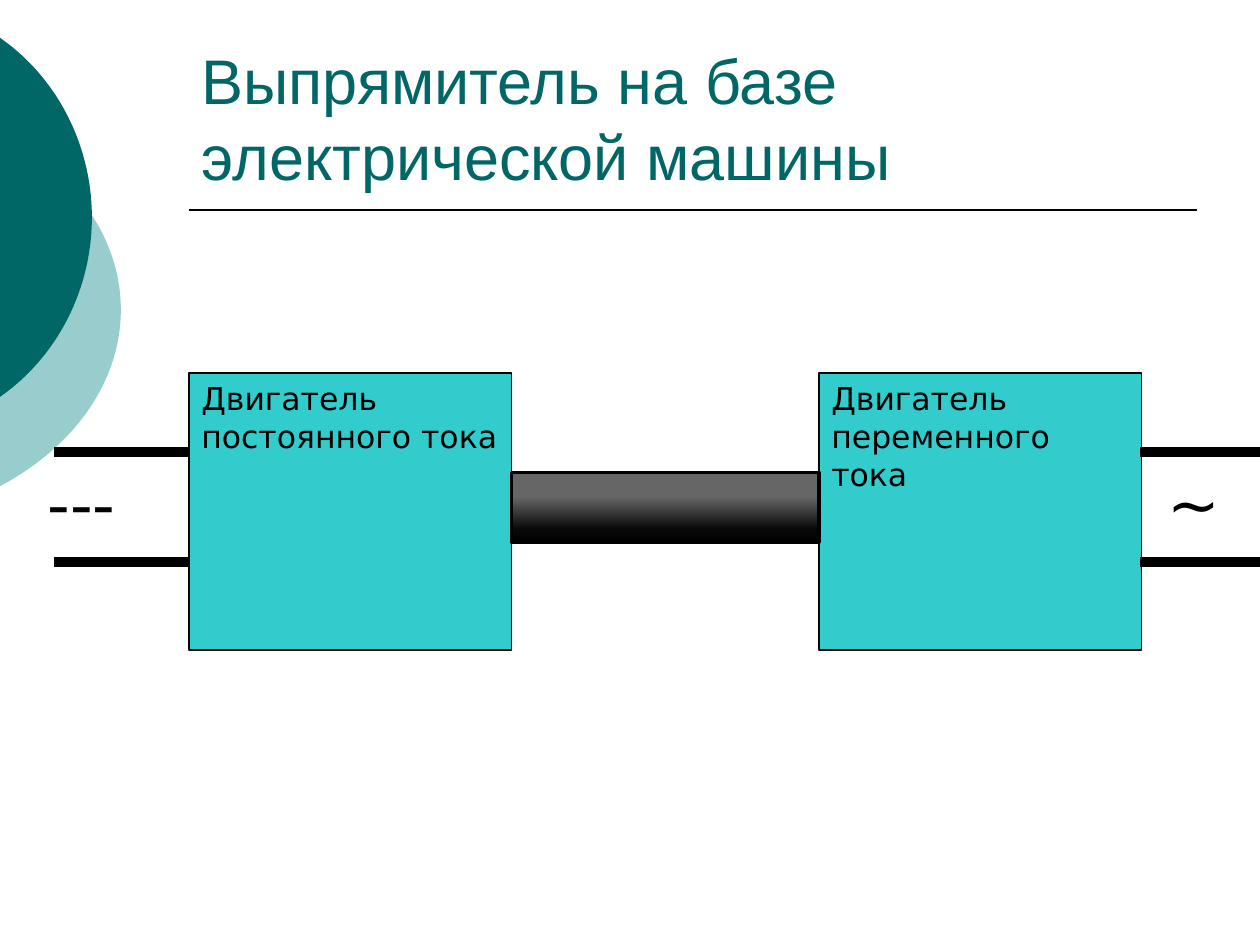
"""Build a slide showing a rectifier made of two coupled electric motors."""
from copy import deepcopy

from lxml import etree
from pptx import Presentation
from pptx.dml.color import RGBColor
from pptx.enum.shapes import MSO_CONNECTOR, MSO_SHAPE
from pptx.enum.text import MSO_ANCHOR, PP_ALIGN
from pptx.oxml.ns import qn
from pptx.util import Pt

RECTANGLE = MSO_SHAPE.RECTANGLE
STRAIGHT = MSO_CONNECTOR.STRAIGHT
LEFT = PP_ALIGN.LEFT
TOP, BOTTOM = MSO_ANCHOR.TOP, MSO_ANCHOR.BOTTOM

COLORS = {"dark": "006666", "light": "99CCCC", "motor": "33CCCC", "black": "000000"}
SHAFT_STOPS = [(0, "000000"), (0.18, "080808"), (0.65, "666666")]
BODY_FONT = "DejaVu Sans"

TITLE = "Выпрямитель на базе электрической машины"
MOTORS = [("Двигатель постоянного тока", 108), ("Двигатель переменного тока", 468)]
MOTOR_TOP, MOTOR_WIDTH, MOTOR_HEIGHT = 213.12, 184.32, 158.4
SHAFT_TOP, SHAFT_HEIGHT = 270, 39.6
WIRE_SPANS = [(31, 108), (651.6, 720)]
WIRE_LEVELS = [258.48, 321.12]
SIGNS = [("---", 20.16, 79.2), ("~", 660.24, 59.76)]
# Each arc: colour, then Bezier points of its upper half, ending at its middle
ARCS = [
    ("light", [(0, 76.32), (43.2, 99.36), (69.12, 136.8), (69.12, 177.12)]),
    ("dark", [(0, 21.6), (33.12, 44.64), (52.56, 83.52), (52.56, 124.2)]),
]
ARC_STEPS = 30


def rgb(name):
    return RGBColor.from_string(COLORS[name])


def bezier(points, t):
    weights = [(1 - t) ** 3, 3 * t * (1 - t) ** 2, 3 * t * t * (1 - t), t ** 3]
    return tuple(sum(w * p[axis] for w, p in zip(weights, points)) for axis in (0, 1))


def add_arc(slide, color, points):
    upper = [bezier(points, step / ARC_STEPS) for step in range(ARC_STEPS + 1)]
    middle = points[-1][1]
    lower = [(x, 2 * middle - y) for x, y in reversed(upper[:-1])]
    outline = [(Pt(x), Pt(y)) for x, y in upper + lower]
    builder = slide.shapes.build_freeform(*outline[0])
    builder.add_line_segments(outline[1:])
    shape = builder.convert_to_shape()
    shape.shadow.inherit = False
    shape.fill.solid()
    shape.fill.fore_color.rgb = rgb(color)
    shape.line.fill.background()


def add_line(slide, start, end, y, width):
    line = slide.shapes.add_connector(STRAIGHT, Pt(start), Pt(y), Pt(end), Pt(y))
    line.line.color.rgb = rgb("black")
    line.line.width = Pt(width)
    etree.SubElement(line._element.spPr, qn("a:effectLst"))


def add_box(slide, left, top, width, height, line_width):
    shape = slide.shapes.add_shape(RECTANGLE, Pt(left), Pt(top), Pt(width), Pt(height))
    shape.shadow.inherit = False
    shape.line.color.rgb = rgb("black")
    shape.line.width = Pt(line_width)
    return shape


def set_text(shape, text, size, font, color, anchor):
    frame = shape.text_frame
    frame.text = text
    frame.word_wrap = True
    frame.vertical_anchor = anchor
    paragraph = frame.paragraphs[0]
    paragraph.alignment = LEFT
    run_font = paragraph.runs[0].font
    run_font.size, run_font.name = Pt(size), font
    run_font.color.rgb = rgb(color)


def fill_shaft(shape):
    shape.fill.gradient()
    shape.fill.gradient_angle = 90
    stop_list = shape._element.spPr.find(qn("a:gradFill")).find(qn("a:gsLst"))
    stop_list.append(deepcopy(stop_list[0]))
    for stop, (position, color) in zip(shape.fill.gradient_stops, SHAFT_STOPS):
        stop.position = position
        stop.color.rgb = RGBColor.from_string(color)


def main():
    presentation = Presentation()
    presentation.slide_width, presentation.slide_height = Pt(720), Pt(540)
    slide = presentation.slides.add_slide(presentation.slide_layouts[5])

    for color, points in ARCS:
        add_arc(slide, color, points)
    add_line(slide, 108, 684, 120, 1)

    title = slide.shapes.title
    title.left, title.top, title.width, title.height = Pt(108), Pt(24), Pt(576), Pt(90)
    set_text(title, TITLE, 36, "Arial", "dark", BOTTOM)

    for text, left in MOTORS:
        motor = add_box(slide, left, MOTOR_TOP, MOTOR_WIDTH, MOTOR_HEIGHT, 1)
        motor.fill.solid()
        motor.fill.fore_color.rgb = rgb("motor")
        set_text(motor, text, 18, BODY_FONT, "black", TOP)

    shaft_left = MOTORS[0][1] + MOTOR_WIDTH
    shaft_width = MOTORS[1][1] - shaft_left
    fill_shaft(add_box(slide, shaft_left, SHAFT_TOP, shaft_width, SHAFT_HEIGHT, 2))

    for start, end in WIRE_SPANS:
        for level in WIRE_LEVELS:
            add_line(slide, start, end, level, 5.75)

    for text, left, width in SIGNS:
        sign = slide.shapes.add_textbox(Pt(left), Pt(262), Pt(width), Pt(51))
        set_text(sign, text, 36, BODY_FONT, "black", TOP)

    presentation.save("out.pptx")


if __name__ == "__main__":
    main()
